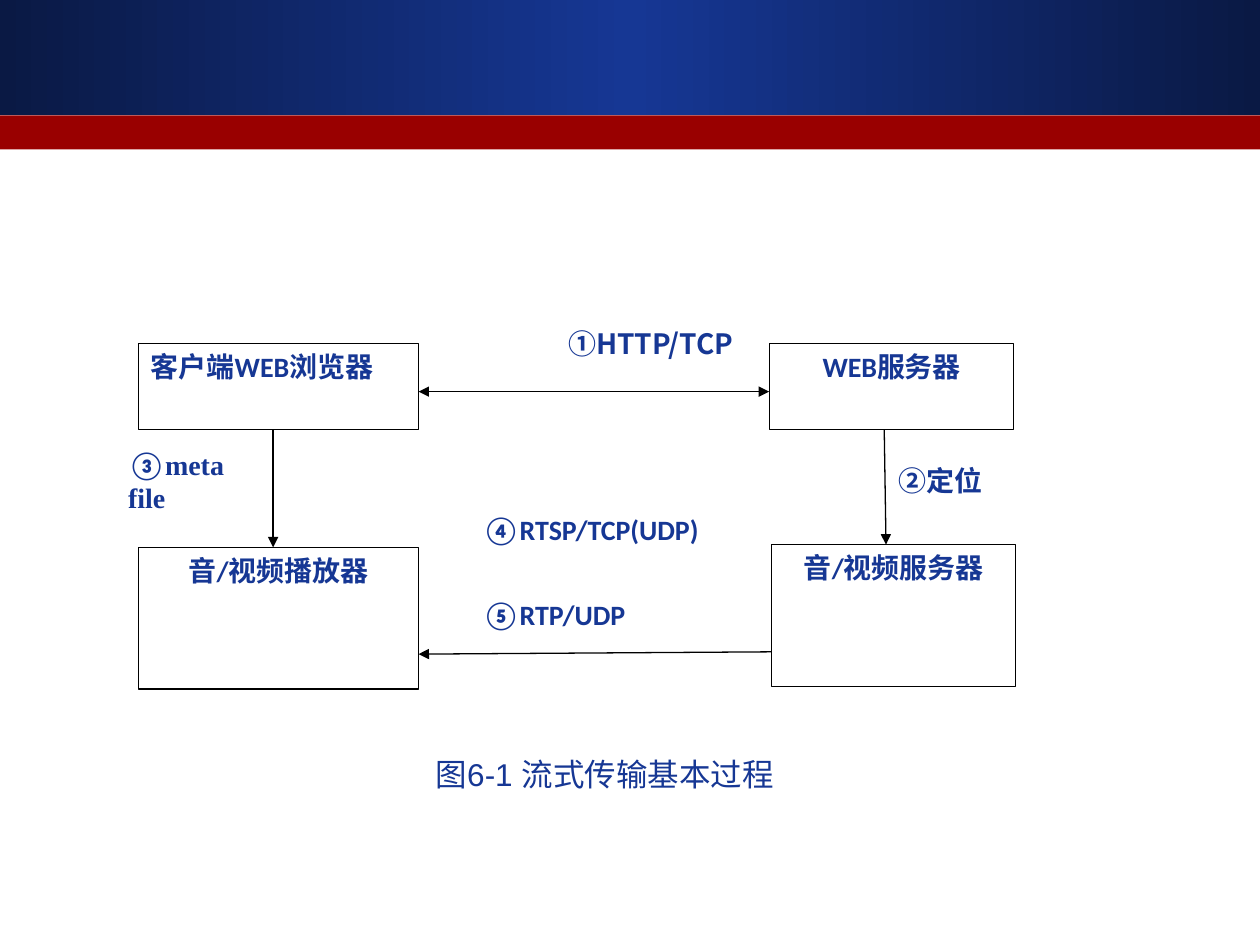
from copy import deepcopy
from dataclasses import dataclass

from lxml import etree
from pptx import Presentation
from pptx.dml.color import RGBColor
from pptx.enum.shapes import MSO_CONNECTOR, MSO_SHAPE
from pptx.enum.text import MSO_ANCHOR, PP_ALIGN
from pptx.oxml.ns import qn
from pptx.util import Pt

RECTANGLE = MSO_SHAPE.RECTANGLE
STRAIGHT = MSO_CONNECTOR.STRAIGHT
TOP, MIDDLE = MSO_ANCHOR.TOP, MSO_ANCHOR.MIDDLE
LEFT, CENTER, JUSTIFY = PP_ALIGN.LEFT, PP_ALIGN.CENTER, PP_ALIGN.JUSTIFY

BLUE, DARK_BLUE, RED = "163794", "0A1944", "990000"
BLACK, WHITE = "000000", "FFFFFF"
CJK_FONT = "Noto Sans CJK SC"


@dataclass
class Node:
    text: str
    left: float
    top: float
    width: float
    height: float
    align: PP_ALIGN = CENTER


@dataclass
class Label:
    runs: list[tuple[str, str]]  # (text, font)
    left: float
    top: float
    width: float
    align: PP_ALIGN = JUSTIFY
    level: int = 0


@dataclass
class Arrow:
    start: tuple[float, float]
    end: tuple[float, float]
    both_ends: bool = False


NODES = [
    Node("客户端WEB浏览器", 79.2, 196.3, 160, 49, JUSTIFY),
    Node("WEB服务器", 439.8, 196.3, 139.5, 49),
    Node("音/视频播放器", 79.2, 312.8, 160, 81),
    Node("音/视频服务器", 440.9, 311.2, 139.5, 81),
]
ARROWS = [
    Arrow((239.2, 223.8), (439.5, 223.8), both_ends=True),
    Arrow((440.6, 372.5), (239.2, 373.8)),
    Arrow((505.3, 245.5), (506.3, 311.2)),
    Arrow((156.1, 245.5), (156.1, 312.8)),
]
LABEL_HEIGHT = 39.6
LABELS = [
    Label([("④RTSP/TCP(UDP)", "Calibri")], 275.8, 282.5, 139.7),
    Label([("①HTTP/TCP", CJK_FONT)], 288.7, 176.4, 131, LEFT, level=1),
    Label([("③", "Calibri"), ("meta file", "Times New Roman")], 73.2, 254.9, 78),
    Label([("②定位", "Times New Roman")], 513.4, 254.9, 79.2),
    Label([("⑤RTP/UDP", "Calibri")], 275.8, 331.2, 139.7),
]


def color(value: str) -> RGBColor:
    return RGBColor.from_string(value)


def add_rectangle(slide, left: float, top: float, width: float, height: float,
                  fill: str, line: str | None = None):
    shape = slide.shapes.add_shape(RECTANGLE, Pt(left), Pt(top), Pt(width), Pt(height))
    shape.shadow.inherit = False
    shape.fill.solid()
    shape.fill.fore_color.rgb = color(fill)
    if line:
        shape.line.color.rgb = color(line)
        shape.line.width = Pt(0.75)
    else:
        shape.line.fill.background()
    return shape


def add_run(paragraph, text: str, font: str, size: float, bold: bool) -> None:
    run = paragraph.add_run()
    run.text = text
    run.font.name = font
    run.font.size = Pt(size)
    run.font.bold = bold
    run.font.color.rgb = color(BLUE)
    east_asian = etree.SubElement(run.font._element, qn("a:ea"))
    east_asian.set("typeface", CJK_FONT)


def write(shape, runs: list[tuple[str, str]], align: PP_ALIGN, anchor: MSO_ANCHOR,
          size: float = 16, bold: bool = True, level: int = 0) -> None:
    frame = shape.text_frame
    frame.word_wrap = True
    frame.vertical_anchor = anchor
    paragraph = frame.paragraphs[0]
    paragraph.alignment = align
    paragraph.level = level
    for text, font in runs:
        add_run(paragraph, text, font, size, bold)


def add_header(slide) -> None:
    band = add_rectangle(slide, 0, 0, 720, 65.5, BLUE)
    band.fill.gradient()
    band.fill.gradient_angle = 0
    stops = band.fill.gradient_stops
    for stop, value, position in zip(stops, (DARK_BLUE, DARK_BLUE), (0, 1)):
        stop.color.rgb = color(value)
        stop.position = position
    # Middle stop, between the two that the gradient starts with
    stop_list = band._element.spPr.find(qn("a:gradFill")).find(qn("a:gsLst"))
    stop_list.insert(1, deepcopy(stop_list[0]))
    middle = band.fill.gradient_stops[1]
    middle.color.rgb = color(BLUE)
    middle.position = 0.5
    add_rectangle(slide, 0, 66, 720, 19.4, RED)


def add_node(slide, node: Node) -> None:
    shape = add_rectangle(slide, node.left, node.top, node.width, node.height, WHITE, BLACK)
    write(shape, [(node.text, "Calibri")], node.align, TOP)


def add_arrow(slide, arrow: Arrow) -> None:
    points = [Pt(value) for value in arrow.start + arrow.end]
    connector = slide.shapes.add_connector(STRAIGHT, *points)
    connector.line.color.rgb = color(BLACK)
    connector.line.width = Pt(0.75)
    line = connector.line._get_or_add_ln()
    for end in ("a:headEnd", "a:tailEnd") if arrow.both_ends else ("a:tailEnd",):
        etree.SubElement(line, qn(end)).set("type", "triangle")
    etree.SubElement(connector._element.spPr, qn("a:effectLst"))


def add_label(slide, label: Label) -> None:
    shape = add_rectangle(slide, label.left, label.top, label.width, LABEL_HEIGHT, WHITE)
    frame = shape.text_frame
    frame.margin_left = frame.margin_right = frame.margin_top = frame.margin_bottom = Pt(0)
    write(shape, label.runs, label.align, MIDDLE, level=label.level)


def main() -> None:
    presentation = Presentation()
    presentation.slide_width, presentation.slide_height = Pt(720), Pt(540)
    slide = presentation.slides.add_slide(presentation.slide_layouts[6])

    add_header(slide)

    # Streaming diagram
    for node in NODES:
        add_node(slide, node)
    for arrow in ARROWS:
        add_arrow(slide, arrow)
    for label in LABELS:
        add_label(slide, label)

    # Caption
    caption = slide.shapes.add_textbox(Pt(241.9), Pt(427.7), Pt(209.5), Pt(28.8))
    write(caption, [("图6-1 流式传输基本过程", "Arial")], LEFT, TOP, size=18, bold=False)

    presentation.save("out.pptx")


if __name__ == "__main__":
    main()
